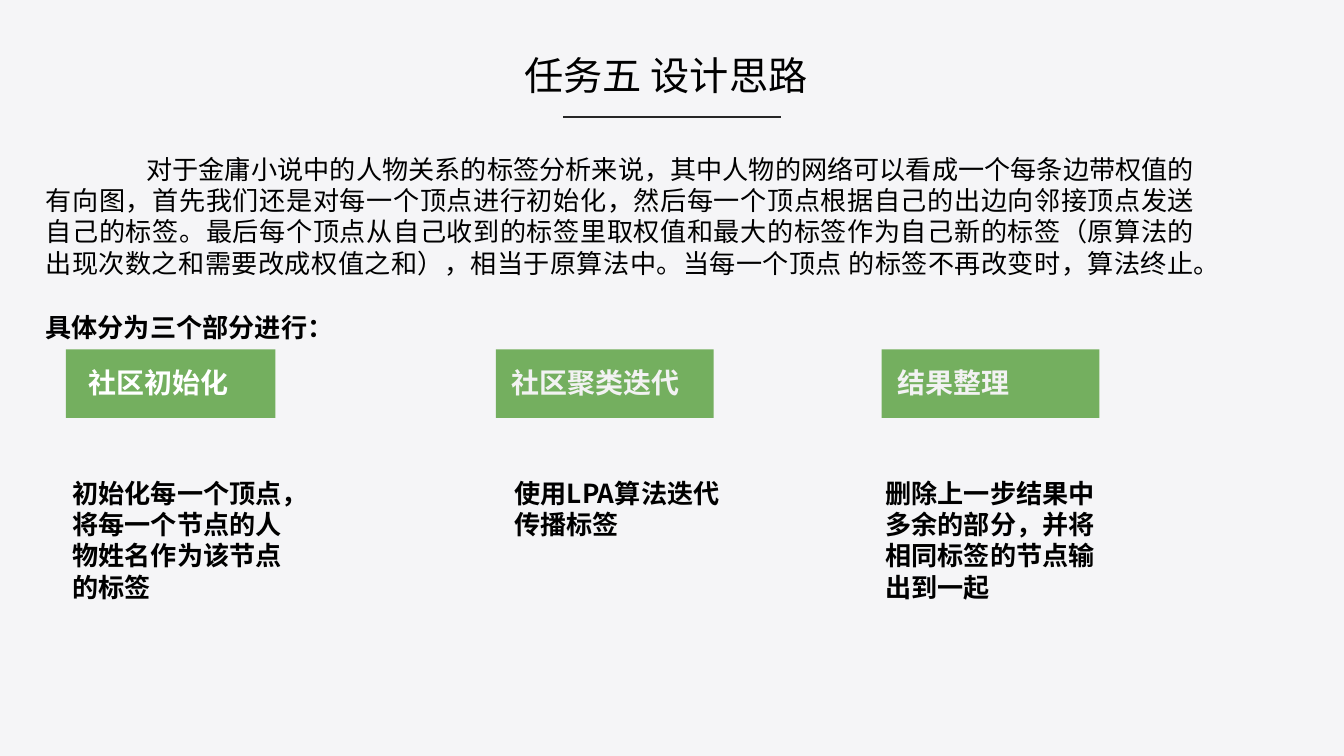
from pptx import Presentation
from pptx.dml.color import RGBColor
from pptx.enum.shapes import MSO_CONNECTOR, MSO_SHAPE
from pptx.enum.text import MSO_ANCHOR, PP_ALIGN
from pptx.oxml.ns import qn
from pptx.util import Inches, Pt
from lxml.etree import SubElement

COLORS = {
    "background": "F5F5F7",
    "rule": "262626",
    "text": "000000",
    "green": "549E39",
    "white": "FFFFFF",
    "light": "F2F2F2",
}


class Deck:
    font = "Noto Sans CJK SC"

    def __init__(self, prs):
        self.s = prs.slides.add_slide(prs.slide_layouts[6])
        fill = self.s.background.fill
        fill.solid()
        fill.fore_color.rgb = self.color("background")

    def color(self, name):
        return RGBColor.from_string(COLORS[name])

    def text(self, x, y, w, h, text, size=14, color="text", bold=False,
             align=PP_ALIGN.LEFT, anchor=MSO_ANCHOR.TOP, spacing=None, indent=0):
        sp = self.s.shapes.add_textbox(Inches(x), Inches(y), Inches(w), Inches(h))
        tf = sp.text_frame
        tf.text = text
        tf.word_wrap = True
        tf.vertical_anchor = anchor
        p = tf.paragraphs[0]
        p.alignment = align
        p.line_spacing = spacing
        if indent:
            p._p.get_or_add_pPr().set("indent", str(Inches(indent)))
        r = p.runs[0]
        r.font.name = self.font
        r.font.size = Pt(size)
        r.font.bold = bold
        r.font.color.rgb = self.color(color)
        SubElement(r._r.get_or_add_rPr(), qn("a:ea"), typeface=self.font)

    def block(self, x, y, w, h, color, opacity):
        sp = self.s.shapes.add_shape(
            MSO_SHAPE.RECTANGLE, Inches(x), Inches(y), Inches(w), Inches(h))
        sp.shadow.inherit = False
        sp.fill.solid()
        sp.fill.fore_color.rgb = self.color(color)
        sp.line.fill.background()
        clr = sp._element.spPr.find(qn("a:solidFill"))[0]
        SubElement(clr, qn("a:alpha"), val=str(opacity * 1000))

    def rule(self, x1, x2, y):
        line = self.s.shapes.add_connector(
            MSO_CONNECTOR.STRAIGHT, Inches(x1), Inches(y), Inches(x2), Inches(y))
        line.line.color.rgb = self.color("rule")
        line.line.width = Pt(1)
        SubElement(line._element.spPr, qn("a:effectLst"))


def main():
    prs = Presentation()
    prs.slide_width = Inches(10)
    prs.slide_height = Inches(10 * 9 / 16)
    deck = Deck(prs)

    deck.rule(4.19, 5.81, 0.87)
    deck.text(2.08, 0.37, 5.75, 0.49, "任务五 设计思路", size=21,
              align=PP_ALIGN.CENTER, spacing=0.9)
    deck.text(0.24, 1.09, 8.75, 1.04,
              "对于金庸小说中的人物关系的标签分析来说，其中人物的网络可以看成一个每条边带权值的"
              "有向图，首先我们还是对每一个顶点进行初始化，然后每一个顶点根据自己的出边向邻接顶点发送"
              "自己的标签。最后每个顶点从自己收到的标签里取权值和最大的标签作为自己新的标签（原算法的"
              "出现次数之和需要改成权值之和），相当于原算法中。当每一个顶点 的标签不再改变时，算法终止。",
              align=PP_ALIGN.JUSTIFY, indent=0.75)
    deck.text(0.24, 2.06, 5, 0.54, "具体分为三个部分进行：", bold=True,
              align=PP_ALIGN.JUSTIFY, anchor=MSO_ANCHOR.BOTTOM)

    steps = [
        (0.49, 1.56, 0.56, 0.44, 1.04, "white", "社区初始化",
         "初始化每一个顶点，将每一个节点的人物姓名作为该节点的标签"),
        (3.69, 1.62, 3.71, 3.73, 0.57, "light", "社区聚类迭代",
         "使用LPA算法迭代传播标签"),
        (6.56, 1.62, 6.58, 6.49, 1.04, "light", "结果整理",
         "删除上一步结果中多余的部分，并将相同标签的节点输出到一起"),
    ]
    for block_x, block_w, label_x, detail_x, detail_h, color, label, detail in steps:
        deck.block(block_x, 2.6, block_w, 0.51, "green", 80)
        deck.text(label_x, 2.67, 1.58, 0.35, label, size=15, color=color, bold=True)
        deck.text(detail_x, 3.5, 1.77, detail_h, detail, bold=True)

    prs.save("out.pptx")


if __name__ == "__main__":
    main()
